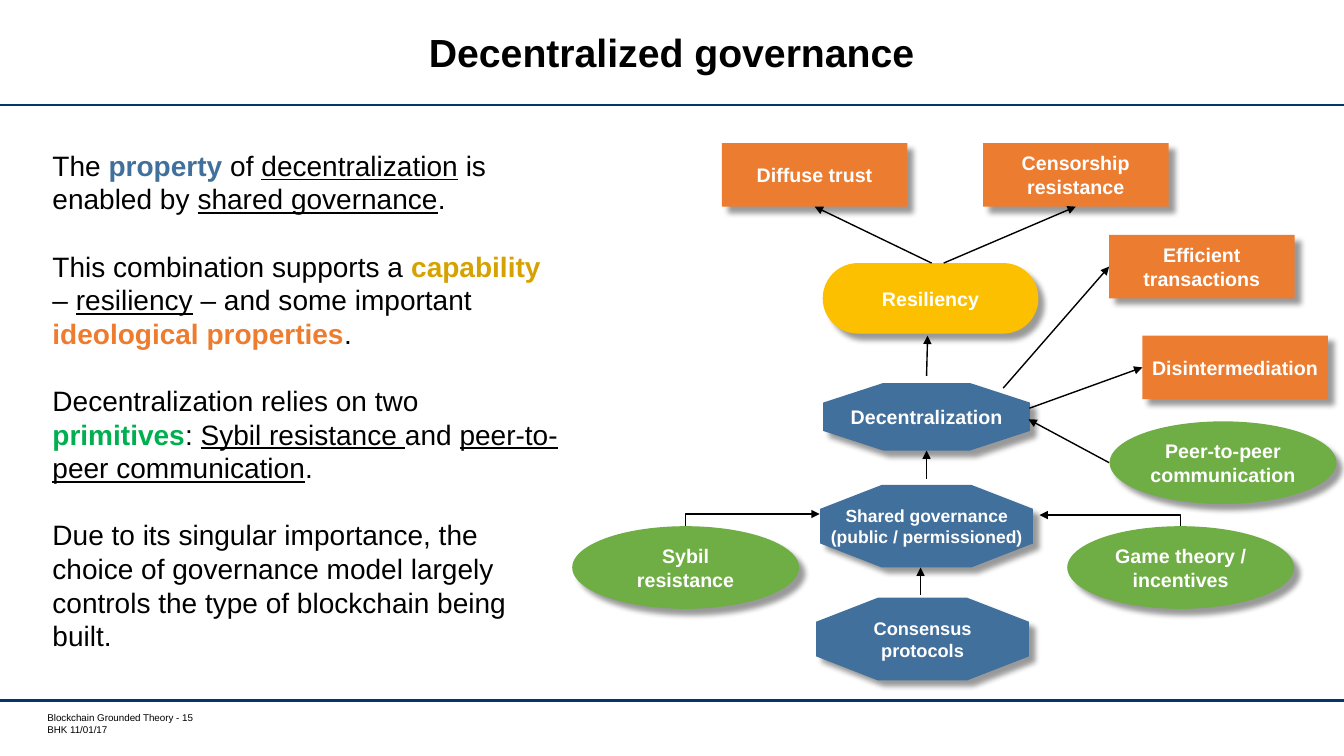
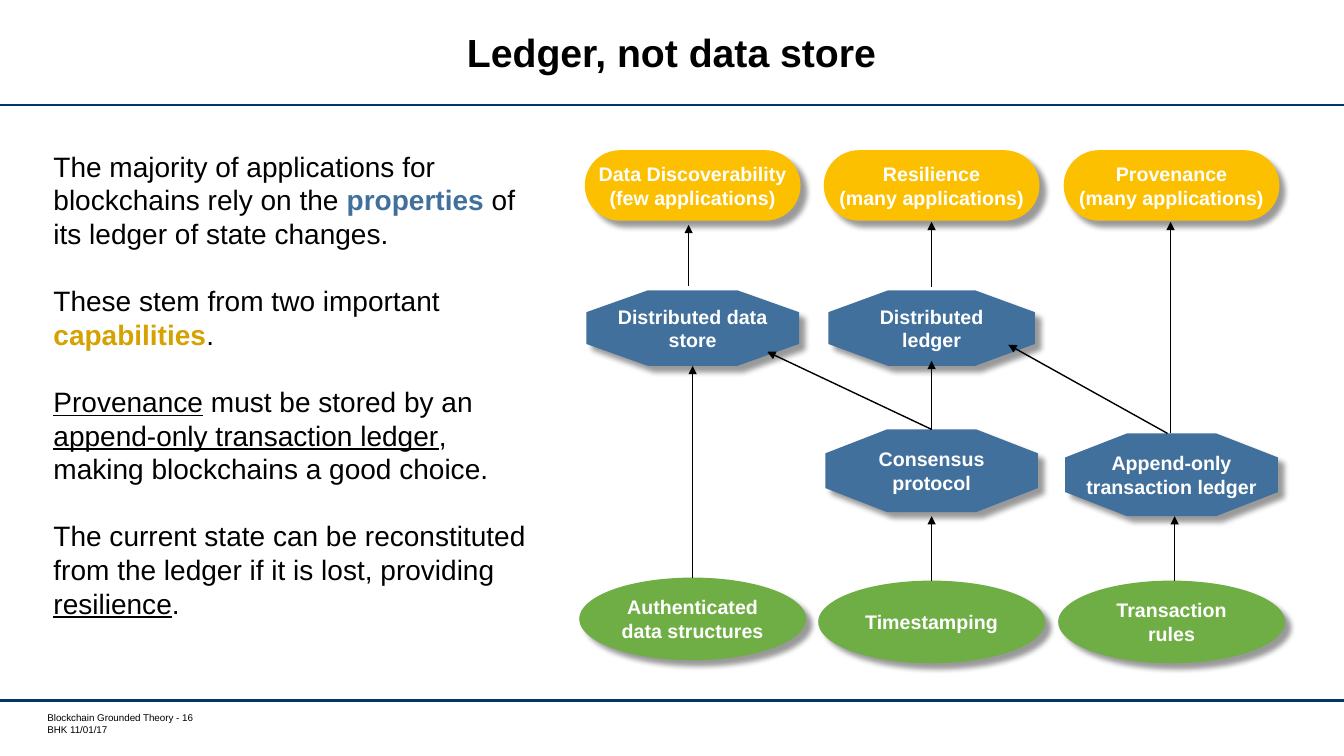
from lxml import etree
from pptx import Presentation
from pptx.dml.color import RGBColor
from pptx.enum.shapes import MSO_CONNECTOR, MSO_SHAPE
from pptx.enum.text import MSO_ANCHOR, MSO_AUTO_SIZE, PP_ALIGN
from pptx.oxml import parse_xml
from pptx.oxml.ns import nsdecls, qn
from pptx.util import Inches, Pt

STRAIGHT, ELBOW = MSO_CONNECTOR.STRAIGHT, MSO_CONNECTOR.ELBOW
TOP, MIDDLE = MSO_ANCHOR.TOP, MSO_ANCHOR.MIDDLE
LEFT, CENTER = PP_ALIGN.LEFT, PP_ALIGN.CENTER
FONT = "Arial"
SLIDE_WIDTH, SLIDE_HEIGHT = 13.33, 7.5
BAND_LINES = (1.04, 6.95)
COLORS = {
    "black": "000000", "white": "FFFFFF", "navy": "003767",
    "property": "41709C", "capability": "FDC000",
    "ideology": "EC7C30", "primitive": "6FAD45",
    "capability text": "D5A201", "ideology text": "ED7C2F", "primitive text": "00B050",
}
KINDS = {
    "capability": {"shape": MSO_SHAPE.ROUNDED_RECTANGLE, "size": (2.14, 0.7)},
    "ideology": {"shape": MSO_SHAPE.RECTANGLE, "size": (1.84, 0.63)},
    "primitive": {"shape": MSO_SHAPE.OVAL, "size": (2.25, 0.82)},
    "property": {"shape": None, "size": (2.11, 0.82)},
}
SIDE_TOP, SIDE_LEFT, SIDE_BOTTOM = 0, 1, 2
COLUMNS = (6.87, 9.24, 11.62)

SLIDES = [
    {
        "title": "Decentralized governance",
        "number": 15,
        "body_box": (0.42, 1.42, 5.26, 5.15),
        "body": [
            [("The ",), ("property ", "property"), ("of ",), ("decentralization", "underline"),
             (" is enabled by ",), ("shared governance", "underline"), (".",)],
            [("This combination supports a ",), ("capability ", "capability text"), ("– ",),
             ("resiliency", "underline"), (" – and some important ",),
             ("ideological properties", "ideology text"), (".",)],
            [("Decentralization relies on two ",), ("primitives", "primitive text"), (": ",),
             ("Sybil resistance ", "underline"), ("and ",),
             ("peer-to-peer communication", "underline"), (".",)],
            [("Due to its singular importance, the choice of governance model largely "
              "controls the type of blockchain being built.",)],
        ],
        "nodes": {
            "resiliency": ("Resiliency", "capability", 9.23, 2.61),
            "decentralization": ("Decentralization", "property", 9.19, 3.8, {"size": (2.05, 0.67)}),
            "censorship": ("Censorship\nresistance", "ideology", 10.67, 1.42),
            "game theory": ("Game theory / incentives", "primitive", 11.71, 5.22),
            "trust": ("Diffuse trust", "ideology", 8.08, 1.42),
            "governance": ("Shared governance\n(public / permissioned)", "property", 9.19, 4.81,
                           {"font": 12.5}),
            "transactions": ("Efficient transactions", "ideology", 11.92, 2.33),
            "disintermediation": ("Disintermediation", "ideology", 12.25, 3.33),
            "sybil": ("Sybil\nresistance", "primitive", 6.8, 5.22),
            "consensus": ("Consensus\nprotocols", "property", 9.15, 5.93, {"font": 13}),
            "peers": ("Peer-to-peer communication", "primitive", 12.13, 4.18),
        },
        "arrows": [
            ((9.19, 4.75), (9.19, 4.47)),
            ((10.21, 4.05), ("disintermediation", SIDE_LEFT)),
            ((9.95, 3.85), ("transactions", SIDE_LEFT)),
            ((9.36, 2.61), ("censorship", SIDE_BOTTOM)),
            ((9.24, 2.61), ("trust", SIDE_BOTTOM)),
            ((9.19, 3.73), (9.2, 3.33)),
            ((9.13, 5.9), (9.13, 5.63)),
            ((11, 4.59), (10.2, 4.16)),
        ],
        "bent_arrows": [((6.8, 5.22), (8.13, 5.1)), ((11.71, 5.22), (10.31, 5.11))],
    },
    {
        "title": "Ledger, not data store",
        "number": 16,
        "body_box": (0.43, 1.43, 5.05, 5.15),
        "body": [
            [("The majority of applications for blockchains rely on the ",),
             ("properties", "property"), (" of its ledger of state changes.",)],
            [("These stem from two important ",), ("capabilities", "capability text"), (".",)],
            [("Provenance", "underline"), (" must be stored by an ",),
             ("append-only transaction ledger", "underline"),
             (", making blockchains a good choice.",)],
            [("The current state can be reconstituted from the ledger if it is lost, providing ",),
             ("resilience", "underline"), (".",)],
        ],
        "nodes": {
            "discoverability": ("Data Discoverability\n(few applications)", "capability",
                                COLUMNS[0], 1.49),
            "resilience": ("Resilience\n(many applications)", "capability", COLUMNS[1], 1.49),
            "provenance": ("Provenance\n(many applications)", "capability", COLUMNS[2], 1.49),
            "store": ("Distributed data\nstore", "property", COLUMNS[0], 2.88,
                      {"size": (2.11, 0.75)}),
            "ledger": ("Distributed\nledger", "property", COLUMNS[1], 2.88,
                       {"size": (2.05, 0.75)}),
            "consensus": ("Consensus\nprotocol", "property", COLUMNS[1], 4.26),
            "append-only": ("Append-only\ntransaction ledger", "property", COLUMNS[2], 4.3),
            "structures": ("Authenticated data structures", "primitive", COLUMNS[0], 5.73),
            "timestamping": ("Timestamping", "primitive", COLUMNS[1], 5.76),
            "rules": ("Transaction rules", "primitive", COLUMNS[2], 5.76),
        },
        "arrows": [
            (("structures", SIDE_TOP), (6.87, 3.63)),
            (("timestamping", SIDE_TOP), (9.24, 5.12)),
            ((6.83, 2.84), (6.83, 2.23)),
            ((9.24, 4.27), (9.24, 3.58)),
            ((11.58, 4.3), (10, 3.42)),
            ((9.24, 2.85), (9.24, 2.2)),
            ((11.61, 4.3), (11.61, 2.2)),
            ((11.65, 5.76), (11.65, 5.12)),
            ((9.24, 4.26), (7.61, 3.49)),
        ],
        "bent_arrows": [],
    },
]


def rgb(name):
    return RGBColor.from_string(COLORS[name])


def place(shape, box):
    shape.left, shape.top, shape.width, shape.height = (Inches(value) for value in box)


def setup_frame(frame, anchor, margins):
    frame.word_wrap = True
    frame.auto_size = MSO_AUTO_SIZE.NONE
    frame.vertical_anchor = anchor
    frame.margin_left, frame.margin_top, frame.margin_right, frame.margin_bottom = (
        Inches(value) for value in margins)


def add_run(paragraph, text, size, color="black", bold=False, underline=False):
    run = paragraph.add_run()
    run.text = text
    font = run.font
    font.name, font.size, font.bold, font.underline = FONT, Pt(size), bold, underline
    font.color.rgb = rgb(color)


def add_line(shapes, start, end, color, width, kind=STRAIGHT, arrow=False):
    connector = shapes.add_connector(kind, *(Inches(value) for value in start + end))
    connector.line.color.rgb = rgb(color)
    connector.line.width = Pt(width)
    if arrow:
        etree.SubElement(connector.line._get_or_add_ln(), qn("a:tailEnd"), type="triangle")
    etree.SubElement(connector._element.spPr, qn("a:effectLst"))
    return connector


def add_arrow(shapes, nodes, start, end):
    joins = [point if isinstance(point[0], str) else None for point in (start, end)]
    points = [(0, 0) if join else point for join, point in zip(joins, (start, end))]
    connector = add_line(shapes, *points, "black", 1, arrow=True)
    for join, connect in zip(joins, (connector.begin_connect, connector.end_connect)):
        if join:
            connect(nodes[join[0]], join[1])


def add_bent_arrow(shapes, start, end):
    connector = add_line(shapes, start, end, "black", 1, ELBOW, True)
    rise, run = abs(end[1] - start[1]), abs(end[0] - start[0])
    center_x, center_y = (start[0] + end[0]) / 2, (start[1] + end[1]) / 2
    place(connector, (center_x - rise / 2, center_y - run / 2, rise, run))
    properties = connector._element.spPr
    properties.find(qn("a:prstGeom")).set("prst", "bentConnector2")
    rightward = end[0] > start[0]
    frame = properties.find(qn("a:xfrm"))
    frame.set("rot", str((90 if rightward else 270) * 60000))
    frame.set("flipH", "1" if rightward else "0")
    frame.set("flipV", "1")


def add_octagon(shapes, left, top, width, height):
    cut = 0.29
    corners = [(cut, 0), (1 - cut, 0), (1, cut), (1, 1 - cut),
               (1 - cut, 1), (cut, 1), (0, 1 - cut), (0, cut)]
    points = [(Inches(left + x * width), Inches(top + y * height)) for x, y in corners]
    builder = shapes.build_freeform(*points[0])
    builder.add_line_segments(points[1:], close=True)
    return builder.convert_to_shape()


def add_node(shapes, text, kind, center, top, options=None):
    options = options or {}
    width, height = options.get("size", KINDS[kind]["size"])
    box = (center - width / 2, top, width, height)
    preset = KINDS[kind]["shape"]
    if preset is None:
        shape = add_octagon(shapes, *box)
    else:
        shape = shapes.add_shape(preset, *(Inches(value) for value in box))
    if kind == "capability":
        shape.adjustments[0] = 0.5
    shape.fill.solid()
    shape.fill.fore_color.rgb = rgb(kind)
    shape.line.fill.background()
    shape._element.spPr.append(parse_xml(
        f'<a:effectLst {nsdecls("a")}><a:outerShdw blurRad="{Pt(4)}" dist="{Pt(6)}" '
        f'dir="{45 * 60000}" algn="tl" rotWithShape="0"><a:srgbClr val="{COLORS["black"]}">'
        '<a:alpha val="40000"/></a:srgbClr></a:outerShdw></a:effectLst>'))
    setup_frame(shape.text_frame, MIDDLE, (0, 0, 0, 0))
    paragraph = shape.text_frame.paragraphs[0]
    paragraph.alignment = CENTER
    for index, line in enumerate(text.split("\n")):
        if index:
            paragraph.add_line_break()
        add_run(paragraph, line, options.get("font", 14), "white", True)
    return shape


def fill_title(title, text):
    place(title, (1.37, 0.11, 10.58, 0.89))
    setup_frame(title.text_frame, MIDDLE, (0.1, 0.05, 0.1, 0.05))
    paragraph = title.text_frame.paragraphs[0]
    paragraph.alignment = CENTER
    paragraph.line_spacing = Pt(28)
    add_run(paragraph, text, 28, bold=True)


def fill_body(body, box, paragraphs):
    place(body, box)
    frame = body.text_frame
    setup_frame(frame, TOP, (0.1, 0.05, 0.1, 0.05))
    for index, runs in enumerate(paragraphs):
        paragraph = frame.add_paragraph() if index else frame.paragraphs[0]
        paragraph.alignment = LEFT
        paragraph.line_spacing = Pt(24)
        paragraph.space_before = Pt(24 if index else 0)
        paragraph.space_after = Pt(0)
        properties = paragraph._p.get_or_add_pPr()
        properties.set("marL", "0")
        properties.set("indent", "0")
        etree.SubElement(properties, qn("a:buNone"))
        for text, *style in runs:
            if style == ["underline"]:
                add_run(paragraph, text, 20, underline=True)
            elif style:
                add_run(paragraph, text, 20, style[0], True)
            else:
                add_run(paragraph, text, 20)


def add_footer(shapes, number):
    footer = shapes.add_textbox(*(Inches(value) for value in (0.47, 7.06, 1.59, 0.24)))
    frame = footer.text_frame
    setup_frame(frame, TOP, (0, 0, 0, 0))
    add_run(frame.paragraphs[0], f"Blockchain Grounded Theory - {number}", 7)
    add_run(frame.add_paragraph(), "BHK 11/01/17", 7)


def build_slide(presentation, content):
    slide = presentation.slides.add_slide(presentation.slide_layouts[1])
    shapes = slide.shapes
    fill_title(shapes.title, content["title"])
    fill_body(slide.placeholders[1], content["body_box"], content["body"])
    nodes = {name: add_node(shapes, *node) for name, node in content["nodes"].items()}
    for start, end in content["arrows"]:
        add_arrow(shapes, nodes, start, end)
    for start, end in content["bent_arrows"]:
        add_bent_arrow(shapes, start, end)
    add_footer(shapes, content["number"])
    return slide


def add_master_bands(presentation, slide):
    master_tree = presentation.slide_master.shapes._spTree
    for top in BAND_LINES:
        band = add_line(slide.shapes, (0, top), (SLIDE_WIDTH, top), "navy", 1.75)
        master_tree.append(band._element)


def main():
    presentation = Presentation()
    presentation.slide_width = Inches(SLIDE_WIDTH)
    presentation.slide_height = Inches(SLIDE_HEIGHT)
    slides = [build_slide(presentation, content) for content in SLIDES]
    add_master_bands(presentation, slides[0])
    presentation.save("out.pptx")


if __name__ == "__main__":
    main()
